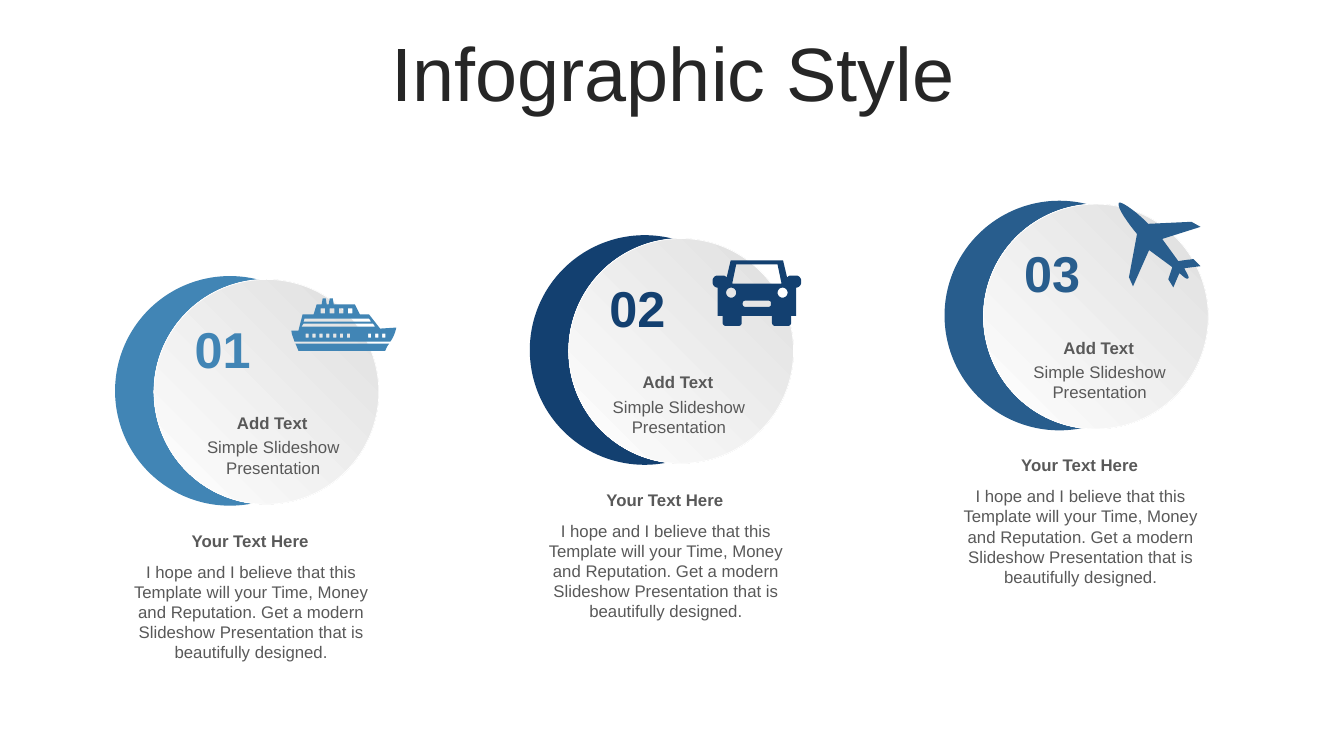
from math import cos, pi, sin

from pptx import Presentation
from pptx.dml.color import RGBColor
from pptx.enum.shapes import MSO_SHAPE
from pptx.enum.text import MSO_ANCHOR, PP_ALIGN
from pptx.util import Pt

COLORS = {
    "sky": "4185B5",
    "navy": "134070",
    "steel": "285D8D",
    "title": "262626",
    "body": "595959",
    "shade": "DEDEDE",
    "white": "FFFFFF",
}
FONT = "Arial"
ICON_UNIT = 0.72
PRECISION = 100
CURVE_STEPS = 8
CAR_WIDTH = 88
CARD_LEFT, CARD_STEP = 82.2, 296.25
BODY = (
    "I hope and I believe that this Template will your Time, Money and Reputation. "
    "Get a modern Slideshow Presentation that is beautifully designed."
)


def color(name):
    return RGBColor.from_string(COLORS[name])


def outline(*segments):
    points = []
    for segment in segments:
        if len(segment) == 2:
            points.append(segment)
            continue
        x0, y0 = points[-1]
        x1, y1, x2, y2, x3, y3 = segment
        for step in range(1, CURVE_STEPS + 1):
            t = step / CURVE_STEPS
            u = 1 - t
            a, b, c, d = u**3, 3 * u * u * t, 3 * u * t * t, t**3
            points.append((a * x0 + b * x1 + c * x2 + d * x3,
                           a * y0 + b * y1 + c * y2 + d * y3))
    return points


def rectangle(x, y, width, height):
    return [(x, y), (x, y + height), (x + width, y + height), (x + width, y)]


def circle(x, y, radius, sides=24):
    return [(x + radius * cos(2 * pi * i / sides), y + radius * sin(2 * pi * i / sides))
            for i in range(sides)]


def mirrored(half):
    return half + [(CAR_WIDTH - x, y) for x, y in reversed(half)]


def ship():
    hull = outline((4, 45), (97, 45), (95, 47, 94, 50, 93, 52), (7, 52),
                   (6, 50, 5, 47, 4, 45))
    decks = outline(
        (38, 0), (41, 0), (42, 6), (63, 6), (68, 16), (77, 16), (88, 30), (104, 29),
        (103, 34, 101, 39, 98, 43), (3, 43), (2, 39, 0, 36, 0, 32), (7, 32),
        (11, 16), (22, 16), (25, 6), (30, 6), (31, 0), (34, 0), (35, 6), (37, 6))
    stripes = [[(12, 25), (10, 28), (83, 28), (81, 25)],
               [(13, 20), (12, 23), (79, 23), (77, 20)]]
    portholes = [rectangle(14 + 6.83 * i, 35, 3.2, 4) for i in range(7)]
    bow_windows = [rectangle(76 + 7 * i, 35, 3.2, 4) for i in range(3)]
    cabin_windows = [rectangle(29 + 9 * i, 10, 4.5, 5) for i in range(4)]
    return [hull, decks] + stripes + portholes + bow_windows + cabin_windows


def car():
    body = mirrored(outline(
        (70, 0), (74, 17), (75, 16, 76, 15, 77, 15), (83, 15),
        (86, 15, 88, 18, 88, 20), (88, 22), (88, 24, 86, 27, 83, 27), (83, 55),
        (78, 55), (78, 62), (78, 63, 77, 65, 75, 65), (62, 65),
        (60, 65, 59, 63, 59, 62), (59, 55)))
    windshield = mirrored([(64.5, 4), (68.5, 23)])
    grille = mirrored(outline((56, 40), (57, 40, 58, 41, 58, 42), (58, 44),
                              (58, 45, 57, 46, 56, 46)))
    return [body, windshield, grille, circle(18.5, 32, 5), circle(69.5, 32, 5)]


def plane():
    return [outline(
        (82, 63), (66, 65), (67, 68, 71, 73, 70, 75), (68, 77, 64, 72, 61, 70),
        (55, 84), (50, 76), (54, 64), (31, 47), (15, 83), (11, 74),
        (14, 58, 16, 47, 19, 31), (12, 23, -2, 4, 1, 0), (4, -2, 23, 13, 30, 21),
        (73, 19), (82, 24), (44, 36), (60, 58), (65, 57, 75, 56, 75, 56))]


def add_icon(slide, contours, left, top, tint):
    scaled = [[(x * PRECISION, y * PRECISION) for x, y in contour]
              for contour in contours]
    builder = slide.shapes.build_freeform(*scaled[0][0], scale=Pt(ICON_UNIT) / PRECISION)
    builder.add_line_segments(scaled[0][1:], close=True)
    for contour in scaled[1:]:
        builder.move_to(*contour[0])
        builder.add_line_segments(contour[1:], close=True)
    icon = builder.convert_to_shape(Pt(left), Pt(top))
    icon.shadow.inherit = False
    icon.fill.solid()
    icon.fill.fore_color.rgb = color(tint)
    icon.line.fill.background()


def add_disc(slide, left, top, size):
    disc = slide.shapes.add_shape(MSO_SHAPE.OVAL, Pt(left), Pt(top), Pt(size), Pt(size))
    disc.shadow.inherit = False
    return disc


def write(paragraph, text, size, tint, bold=False):
    paragraph.alignment = PP_ALIGN.CENTER
    run = paragraph.add_run()
    run.text = text
    run.font.name = FONT
    run.font.size = Pt(size)
    run.font.bold = bold
    run.font.color.rgb = color(tint)


def add_label(slide, box, text, size=12, tint="body", bold=False):
    label = slide.shapes.add_textbox(*map(Pt, box)).text_frame
    label.word_wrap = True
    write(label.paragraphs[0], text, size, tint, bold)


def add_title(slide, box):
    title = slide.shapes.title
    title.left, title.top, title.width, title.height = map(Pt, box)
    title.text_frame.vertical_anchor = MSO_ANCHOR.MIDDLE
    heading = title.text_frame.paragraphs[0]
    heading.line_spacing = 0.9
    write(heading, "Infographic Style", 54, "title")


def add_card(slide, left, top, number, tint, caption_left, icon, icon_left, icon_top):
    crescent = add_disc(slide, left, top, 164)
    crescent.fill.solid()
    crescent.fill.fore_color.rgb = color(tint)
    crescent.line.fill.background()

    face = add_disc(slide, left + 27.8, top + 2.4, 160.6)
    face.fill.gradient()
    face.fill.gradient_angle = 225
    for stop, shade in zip(face.fill.gradient_stops, ("shade", "white")):
        stop.color.rgb = color(shade)
    face.line.color.rgb = color("white")
    face.line.width = Pt(0.5)

    caption = left + caption_left
    add_label(slide, (caption, top + 94.2, 125.3, 21.6), "Add Text", bold=True)
    add_label(slide, (caption + 0.7, top + 111.5, 125.3, 36),
              "Simple Slideshow Presentation")
    add_label(slide, (left + 40.5, top + 26.3, 72.7, 51), number, 36, tint, True)
    add_label(slide, (left + 4.3, top + 200.2, 185.8, 80), BODY)
    add_label(slide, (left + 4.3, top + 178.2, 184.3, 21.6), "Your Text Here", bold=True)
    add_icon(slide, icon, left + icon_left, top + icon_top, tint)


def main():
    deck = Presentation()
    deck.slide_width, deck.slide_height = Pt(960), Pt(540)
    slide = deck.slides.add_slide(deck.slide_layouts[5])
    add_title(slide, (25.2, 26.6, 911.5, 56.9))
    cards = [
        (197.2, "01", "sky", 49.7, ship(), 126, 15.9),
        (168, "02", "navy", 43.2, car(), 130.5, 18),
        (143.4, "03", "steel", 47.5, plane(), 123.8, 1.4),
    ]
    for index, (top, *details) in enumerate(cards):
        add_card(slide, CARD_LEFT + index * CARD_STEP, top, *details)
    deck.save("out.pptx")


if __name__ == "__main__":
    main()
